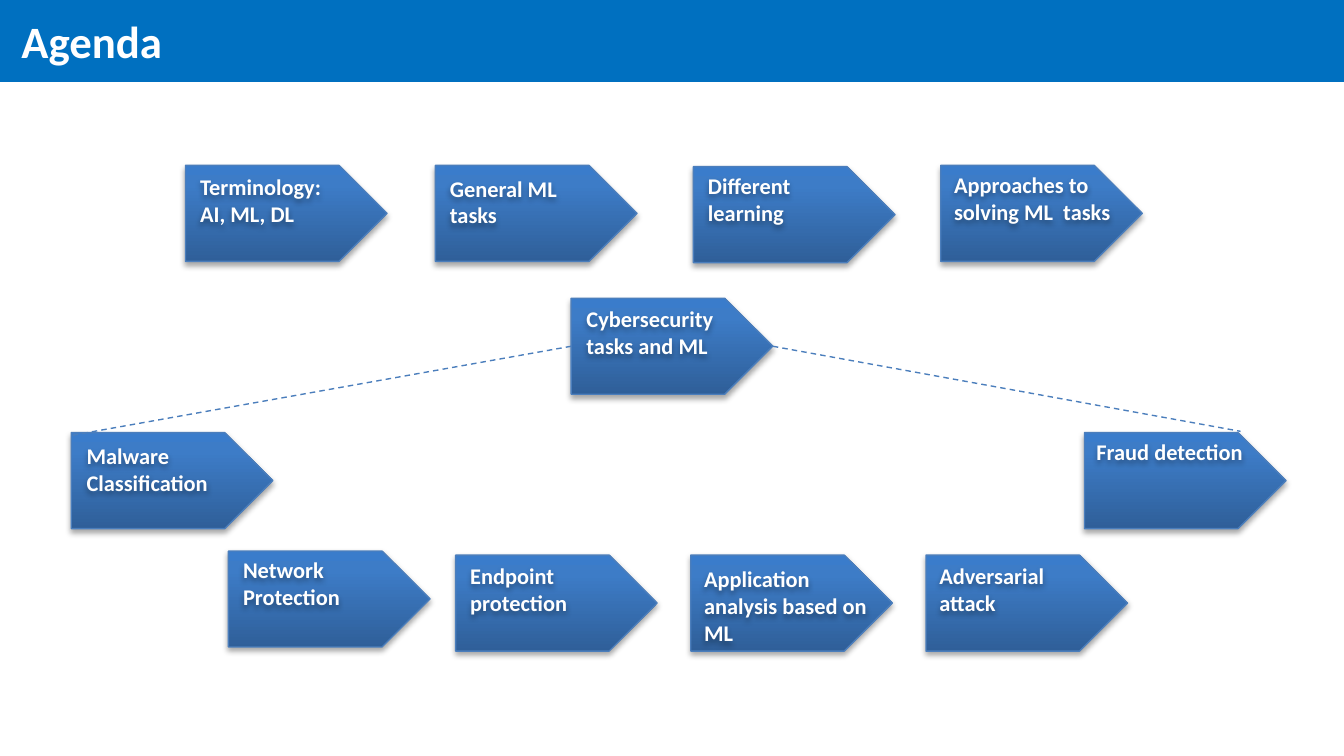
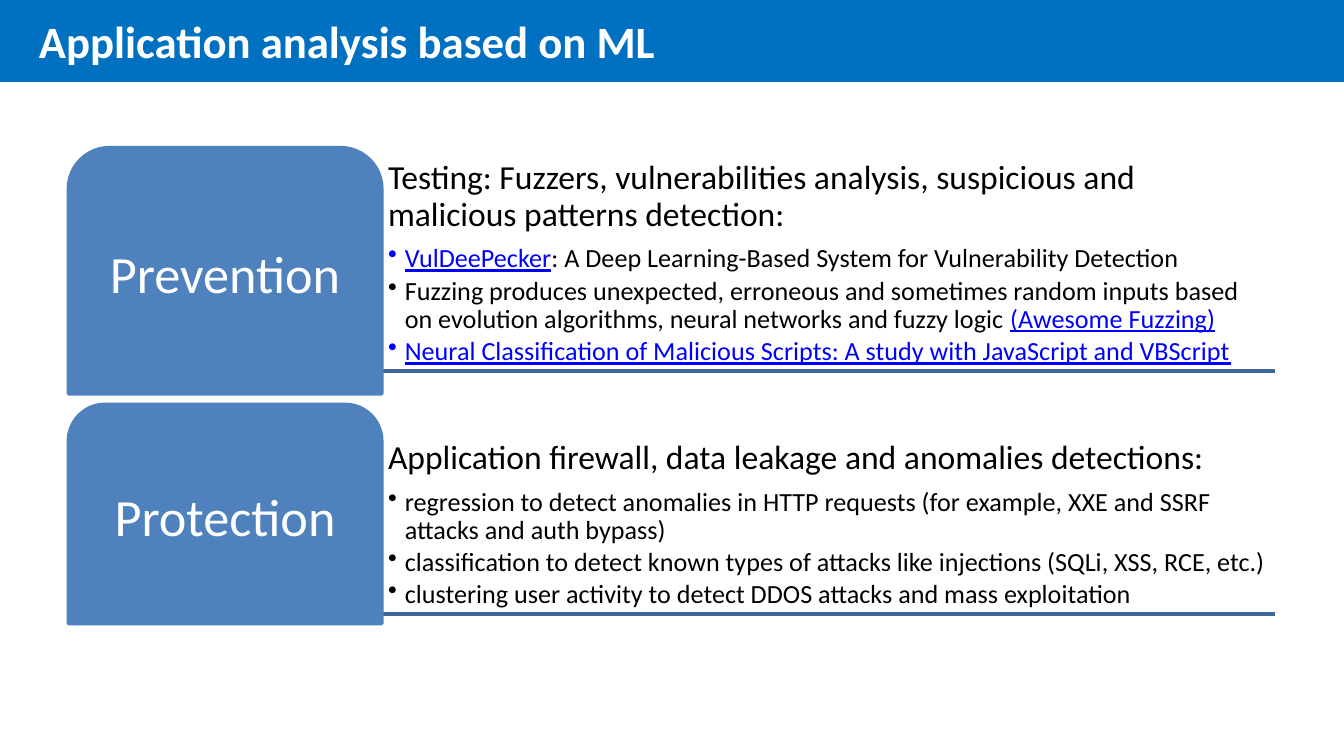
"""Build two slides on machine learning in cybersecurity: an agenda and application analysis."""
from pptx import Presentation
from pptx import util as u
from pptx.dml.color import RGBColor
from pptx.enum import dml, shapes, text
from pptx.oxml import parse_xml
from pptx.oxml.ns import nsdecls, qn

COLORS = {
    "band": "0070C0", "white": "FFFFFF", "ink": "000000", "link": "0000FF",
    "edge": "4B7EBC", "tab": "4F81BD", "rule": "3F6797",
    "dark": "2F5F99", "middle": "3D7CC7", "light": "3A7CCB",
}
FONT = "Calibri"
SHADOW = (f'<a:outerShdw {nsdecls("a")} blurRad="40000" dist="23000" dir="5400000" rotWithShape="0">'
          f'<a:srgbClr val="{COLORS["ink"]}"><a:alpha val="35000"/></a:srgbClr></a:outerShdw>')
STOPS = "".join(f'<a:gs pos="{place}"><a:srgbClr val="{COLORS[name]}"/></a:gs>'
                for place, name in ((0, "dark"), (80000, "middle"), (100000, "light")))
GRADIENT = (f'<a:gradFill {nsdecls("a")} rotWithShape="1"><a:gsLst>{STOPS}</a:gsLst>'
            '<a:lin ang="16200000" scaled="0"/></a:gradFill>')


def write(para, content, size=12, color="white", bold=False, underline=False):
    """Append formatted text to a paragraph, with a line break at each vertical tab."""
    for index, piece in enumerate(content.split("\v")):
        if index:
            para.add_line_break()
        span = para.add_run()
        span.text = piece
        span.font.name, span.font.size = FONT, u.Pt(size)
        span.font.bold, span.font.underline = bold, underline
        span.font.color.rgb = RGBColor.from_string(COLORS[color])


def draw_line(page, start, end, color, width):
    """Add a straight connector without a shadow."""
    line = page.shapes.add_connector(shapes.MSO_CONNECTOR.STRAIGHT, *map(u.Pt, start + end))
    line.line.color.rgb = RGBColor.from_string(COLORS[color])
    line.line.width = u.Pt(width)
    line._element.spPr.append(parse_xml(f'<a:effectLst {nsdecls("a")}/>'))
    return line


deck = Presentation()
deck.slide_width, deck.slide_height = u.Pt(720), u.Pt(405)

pages = []
for heading, indent in (("Agenda", 11.5), ("Application analysis based on ML", 20.9)):
    page = deck.slides.add_slide(deck.slide_layouts[5])
    title = page.shapes.title
    title.left, title.top, title.width, title.height = u.Pt(0), u.Pt(0), u.Pt(720), u.Pt(43.9)
    title.fill.solid()
    title.fill.fore_color.rgb = RGBColor.from_string(COLORS["band"])
    frame = title.text_frame
    frame.margin_left, frame.margin_right = u.Pt(indent), u.Pt(7.2)
    frame.margin_top = frame.margin_bottom = u.Pt(3.6)
    frame.vertical_anchor = text.MSO_ANCHOR.MIDDLE
    frame.paragraphs[0].alignment = text.PP_ALIGN.LEFT
    write(frame.paragraphs[0], heading, size=24, bold=True)
    pages.append(page)
agenda, analysis = pages

# label, arrow left and top, label offset, label width and height
topics = [
    ("Terminology:\nAI, ML, DL", 99.4, 88.6, 0.7, 0.7, 106, 36),
    ("General ML tasks", 233.3, 88.6, 0.7, 1.4, 88.6, 36),
    ("Different \vlearning", 371.5, 89.3, 0.7, -0.7, 106, 36),
    ("Approaches to solving ML  tasks", 504, 88.6, 0, -0.7, 106, 36),
    ("Cybersecurity tasks and ML", 306, 159.8, 1.1, 0, 106, 36),
    ("Malware Classification", 38.2, 231.8, 1.1, 1.4, 88.6, 36),
    ("Network Protection", 122.4, 295.2, 0.7, -0.7, 106, 36),
    ("Endpoint protection", 244.1, 297.4, 0.7, 0, 106, 36),
    ("Application analysis based on ML", 370.1, 297.4, 0, 1.4, 106, 51),
    ("Adversarial \vattack", 496.1, 297.4, 0, 0, 106, 36),
    ("Fraud detection", 581, 231.8, -0.7, -0.7, 106, 21.6),
]
arrows = {}
for label, left, top, shift, drop, width, height in topics:
    arrow = agenda.shapes.add_shape(shapes.MSO_SHAPE.PENTAGON, u.Pt(left), u.Pt(top), u.Pt(108), u.Pt(51.4))
    arrow.fill.background()
    properties = arrow._element.spPr
    properties.replace(properties.find(qn("a:noFill")), parse_xml(GRADIENT))
    arrow.line.color.rgb = RGBColor.from_string(COLORS["edge"])
    arrow.line.width = u.Pt(0.75)
    box = agenda.shapes.add_textbox(u.Pt(left + shift), u.Pt(top + drop), u.Pt(width), u.Pt(height))
    for item in (arrow, box):
        item.shadow.inherit = False
        item._element.spPr.find(qn("a:effectLst")).append(parse_xml(SHADOW))
    frame = box.text_frame
    frame.word_wrap = True
    frame.auto_size = text.MSO_AUTO_SIZE.SHAPE_TO_FIT_TEXT
    frame.vertical_anchor = text.MSO_ANCHOR.MIDDLE
    for index, row in enumerate(label.split("\n")):
        para = frame.add_paragraph() if index else frame.paragraphs[0]
        write(para, row, bold=True)
    arrows[label] = arrow

hub = arrows["Cybersecurity tasks and ML"]
for site, start, end in ((1, (306, 185.5), (38.2, 233.3)), (3, (414, 185.5), (664.6, 231.1))):
    branch = draw_line(agenda, start, end, "edge", 0.75)
    branch.line.dash_style = dml.MSO_LINE.DASH
    branch.begin_connect(hub, site)

# label, tab top and height, text top, heading, bullets made of (text, colour) spans
sections = [
    ("Prevention", 79.2, 131.8, 92.2,
     "Testing: Fuzzers, vulnerabilities analysis, suspicious and malicious patterns detection:",
     [[("VulDeePecker", "link"), (": A Deep Learning-Based System for Vulnerability Detection", "ink")],
      [("Fuzzing produces unexpected, erroneous and sometimes random inputs based on evolution "
        "algorithms, neural networks and fuzzy logic ", "ink"), ("(Awesome Fuzzing)", "link")],
      [("Neural Classification of Malicious Scripts: A study with JavaScript and VBScript", "link")]]),
    ("Protection", 216.7, 117.4, 222.5,
     "Application firewall, data leakage and anomalies detections:",
     [[("regression to detect anomalies in HTTP requests (for example, XXE and SSRF attacks "
        "and auth bypass)", "ink")],
      [("classification to detect known types of attacks like injections (SQLi, XSS, RCE, etc.)", "ink")],
      [("clustering user activity to detect DDOS attacks and mass exploitation", "ink")]]),
]
for label, top, height, text_top, heading, bullets in sections:
    rule = text_top + 106.6
    draw_line(analysis, (36.7, rule), (683.3, rule), "rule", 2)

    tab = analysis.shapes.add_shape(shapes.MSO_SHAPE.ROUND_2_SAME_RECTANGLE,
                                    u.Pt(36.7), u.Pt(top), u.Pt(167.8), u.Pt(height))
    tab.adjustments[0], tab.adjustments[1] = 0.167, 0
    tab.shadow.inherit = False
    tab.fill.solid()
    tab.fill.fore_color.rgb = tab.line.color.rgb = RGBColor.from_string(COLORS["tab"])
    tab.line.width = u.Pt(2)

    name_box = analysis.shapes.add_textbox(u.Pt(42.9), u.Pt(top + 6.1), u.Pt(155.4), u.Pt(height - 6.1))
    detail_box = analysis.shapes.add_textbox(u.Pt(205.2), u.Pt(text_top), u.Pt(478.1), u.Pt(106.6))
    for box, margin, anchor in ((name_box, 4.3, text.MSO_ANCHOR.MIDDLE),
                                (detail_box, 2.7, text.MSO_ANCHOR.BOTTOM)):
        frame = box.text_frame
        frame.word_wrap = True
        frame.vertical_anchor = anchor
        frame.margin_left = frame.margin_right = frame.margin_top = frame.margin_bottom = u.Pt(margin)
        frame.paragraphs[0].line_spacing = 0.9

    para = name_box.text_frame.paragraphs[0]
    para.alignment = text.PP_ALIGN.CENTER
    write(para, label, size=28)

    para = detail_box.text_frame.paragraphs[0]
    para.space_after = u.Pt(6.3)
    write(para, heading, size=18, color="ink")
    for bullet in bullets:
        para = detail_box.text_frame.add_paragraph()
        para.level, para.line_spacing, para.space_after = 1, 0.9, u.Pt(2.1)
        settings = para._p.get_or_add_pPr()
        settings.set("marL", str(u.Pt(9)))
        settings.set("indent", str(u.Pt(-9)))
        settings.append(parse_xml(f'<a:buChar {nsdecls("a")} char="•"/>'))
        for content, color in bullet:
            write(para, content, size=14, color=color, underline=color == "link")

deck.save("out.pptx")
